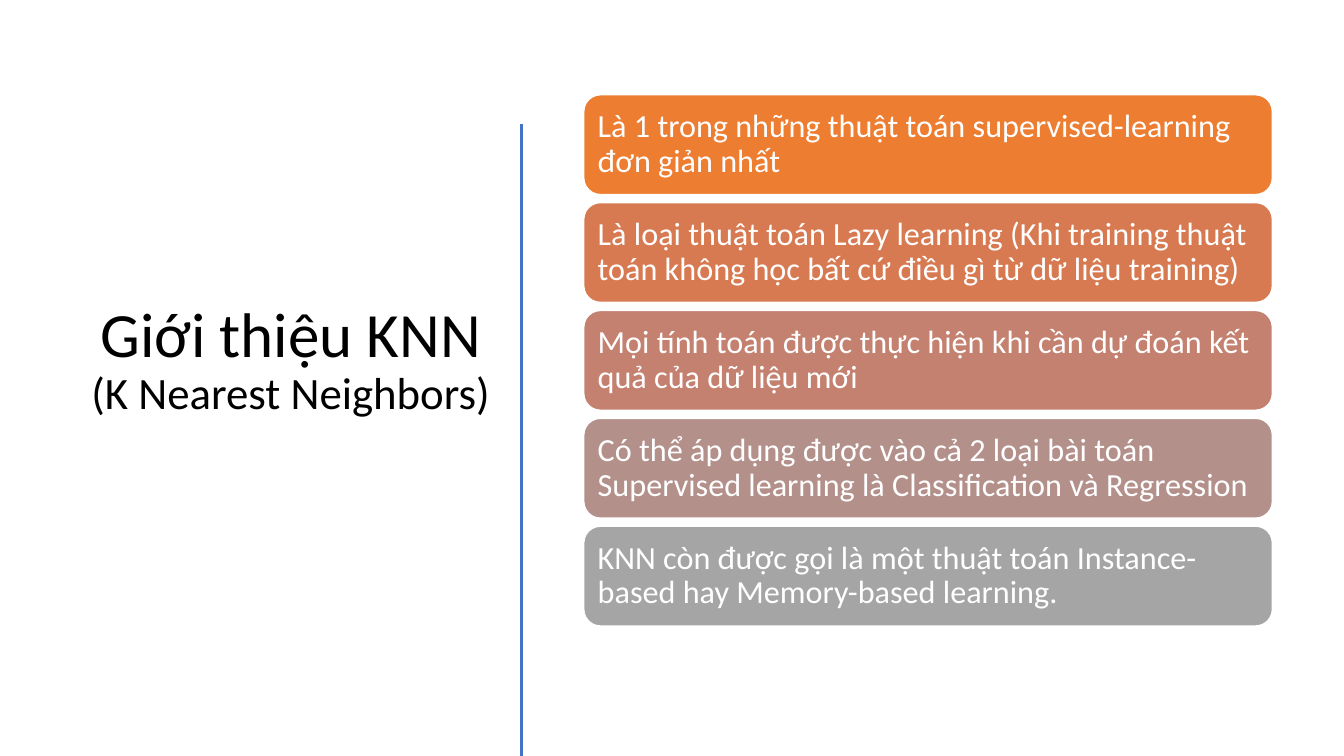
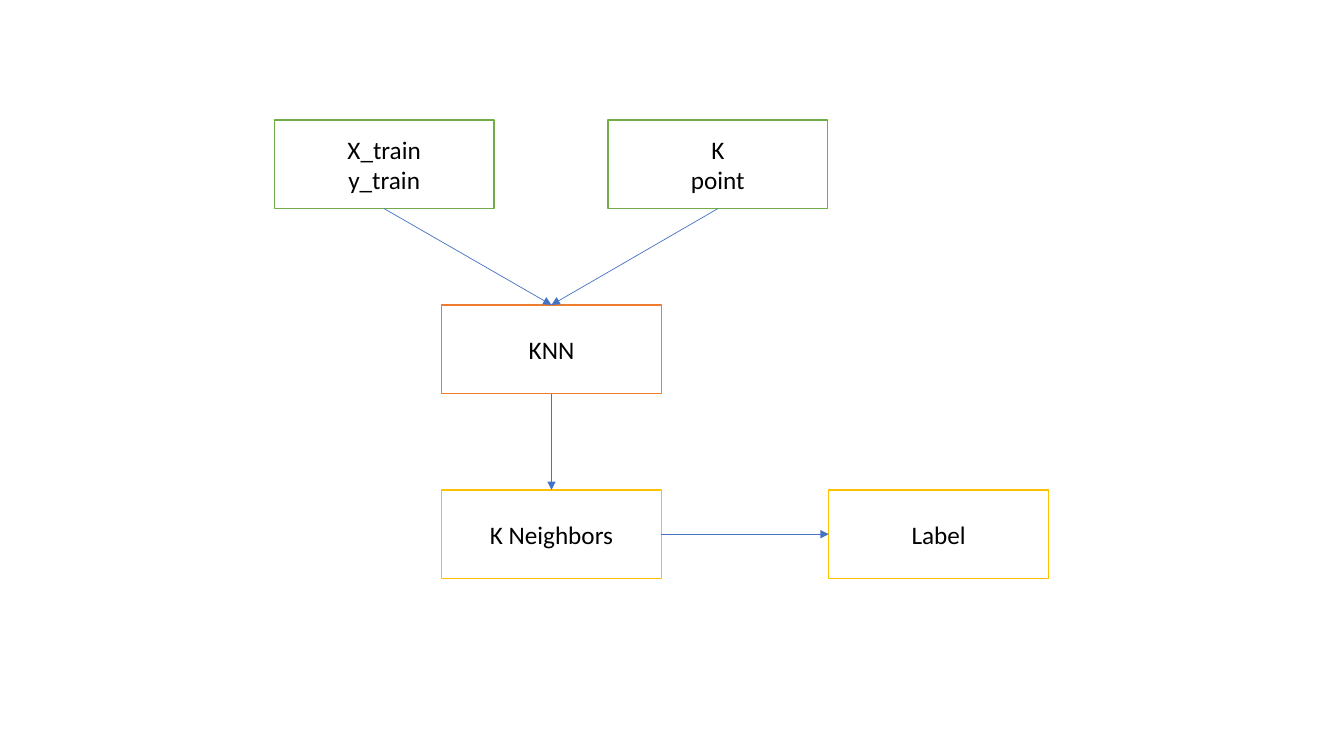
"""Build two slides that introduce the K Nearest Neighbors algorithm."""
from dataclasses import dataclass

from lxml.etree import SubElement
from pptx import Presentation
from pptx.dml.color import RGBColor
from pptx.enum.shapes import MSO_CONNECTOR as Conn, MSO_SHAPE as Shp
from pptx.enum.text import MSO_ANCHOR as Anchor, PP_ALIGN as Align
from pptx.oxml.ns import qn
from pptx.shapes.autoshape import Shape
from pptx.shapes.connector import Connector
from pptx.slide import Slide
from pptx.text.text import TextFrame, _Paragraph as Paragraph
from pptx.util import Inches, Pt

FONT = "Calibri"
BLACK = RGBColor(0x00, 0x00, 0x00)
WHITE = RGBColor(0xFF, 0xFF, 0xFF)
BLUE = RGBColor(0x44, 0x72, 0xC4)
GREEN = RGBColor(0x70, 0xAD, 0x47)
ORANGE = RGBColor(0xED, 0x7D, 0x31)
RUST = RGBColor(0xD8, 0x7A, 0x51)
ROSE = RGBColor(0xC4, 0x81, 0x70)
MAUVE = RGBColor(0xB4, 0x90, 0x8B)
GRAY = RGBColor(0xA5, 0xA5, 0xA5)
GOLD = RGBColor(0xFF, 0xC0, 0x00)

TOP, LEFT, BOTTOM, RIGHT = range(4)
CARD_X, CARD_Y, CARD_W, CARD_H, CARD_STEP = 5.79, 0.94, 6.83, 0.99, 1.07
NODE_W, NODE_H = 2.18, 0.88
ROW_Y, ROW_STEP = 1.19, 1.835


@dataclass(frozen=True)
class Card:
    text: str
    fill: RGBColor


@dataclass(frozen=True)
class Node:
    lines: tuple[str, ...]
    x: float
    row: int
    color: RGBColor


@dataclass(frozen=True)
class Arrow:
    start: str
    start_site: int
    end: str
    end_site: int


CARDS = (
    Card("Là 1 trong những thuật toán supervised-learning đơn giản nhất", ORANGE),
    Card("Là loại thuật toán Lazy learning (Khi training thuật toán không học "
         "bất cứ điều gì từ dữ liệu training)", RUST),
    Card("Mọi tính toán được thực hiện khi cần dự đoán kết quả của dữ liệu mới", ROSE),
    Card("Có thể áp dụng được vào cả 2 loại bài toán Supervised learning là "
         "Classification và Regression", MAUVE),
    Card("KNN còn được gọi là một thuật toán Instance-based hay Memory-based "
         "learning.", GRAY),
)
NODES = {
    "train": Node(("X_train", "y_train"), 2.72, 0, GREEN),
    "query": Node(("K", "point"), 6.03, 0, GREEN),
    "knn": Node(("KNN",), 4.38, 1, ORANGE),
    "neighbors": Node(("K Neighbors",), 4.38, 2, GOLD),
    "label": Node(("Label",), 8.22, 2, GOLD),
}
ARROWS = (
    Arrow("query", BOTTOM, "knn", TOP),
    Arrow("train", BOTTOM, "knn", TOP),
    Arrow("knn", BOTTOM, "neighbors", TOP),
    Arrow("neighbors", RIGHT, "label", LEFT),
)


def add_run(p: Paragraph, text: str, size: float, color: RGBColor) -> None:
    r = p.add_run()
    r.text = text
    r.font.name = FONT
    r.font.size = Pt(size)
    r.font.color.rgb = color


def prepare(tf: TextFrame) -> TextFrame:
    tf.word_wrap = True
    tf.vertical_anchor = Anchor.MIDDLE
    return tf


def add_box(s: Slide, kind: Shp, x: float, y: float, w: float, h: float,
            fill: RGBColor, line: RGBColor) -> Shape:
    sp = s.shapes.add_shape(kind, Inches(x), Inches(y), Inches(w), Inches(h))
    sp.shadow.inherit = False
    sp.fill.solid()
    sp.fill.fore_color.rgb = fill
    sp.line.color.rgb = line
    sp.line.width = Pt(1)
    prepare(sp.text_frame)
    return sp


def add_line(s: Slide, x1: float, y1: float, x2: float, y2: float,
             width: float) -> Connector:
    c = s.shapes.add_connector(Conn.STRAIGHT, Inches(x1), Inches(y1),
                               Inches(x2), Inches(y2))
    c.line.color.rgb = BLUE
    c.line.width = Pt(width)
    SubElement(c._element.spPr, qn("a:effectLst"))
    return c


def add_title(s: Slide) -> None:
    tb = s.shapes.add_textbox(Inches(0.73), Inches(0.53), Inches(4.31), Inches(6.11))
    p = prepare(tb.text_frame).paragraphs[0]
    p.alignment = Align.CENTER
    p.line_spacing = 0.9
    p.space_after = Pt(6)
    add_run(p, "Giới thiệu KNN ", 45, BLACK)
    add_run(p, "(K Nearest Neighbors)", 32, BLACK)


def add_card(s: Slide, card: Card, index: int) -> None:
    sp = add_box(s, Shp.ROUNDED_RECTANGLE, CARD_X, CARD_Y + index * CARD_STEP,
                 CARD_W, CARD_H, card.fill, WHITE)
    tf = sp.text_frame
    tf.margin_left = tf.margin_right = Inches(0.09)
    tf.margin_top = tf.margin_bottom = Inches(0.09)
    p = tf.paragraphs[0]
    p.alignment = Align.LEFT
    p.line_spacing = 0.9
    add_run(p, card.text, 23, WHITE)


def add_node(s: Slide, node: Node) -> Shape:
    sp = add_box(s, Shp.RECTANGLE, node.x, ROW_Y + node.row * ROW_STEP,
                 NODE_W, NODE_H, WHITE, node.color)
    tf = sp.text_frame
    for i, text in enumerate(node.lines):
        p = tf.add_paragraph() if i else tf.paragraphs[0]
        p.alignment = Align.CENTER
        add_run(p, text, 18, BLACK)
    return sp


def add_arrow(s: Slide, arrow: Arrow, boxes: dict[str, Shape]) -> None:
    c = add_line(s, 0, 0, 0, 0, 0.5)
    c.begin_connect(boxes[arrow.start], arrow.start_site)
    c.end_connect(boxes[arrow.end], arrow.end_site)
    SubElement(c.line._get_or_add_ln(), qn("a:tailEnd"), type="triangle")


def build_intro(s: Slide) -> None:
    add_title(s)
    add_line(s, 5.17, 1.23, 5.17, 7.5, 2)
    for i, card in enumerate(CARDS):
        add_card(s, card, i)


def build_flow(s: Slide) -> None:
    boxes = {key: add_node(s, node) for key, node in NODES.items()}
    for arrow in ARROWS:
        add_arrow(s, arrow, boxes)


def main() -> None:
    prs = Presentation()
    prs.slide_width, prs.slide_height = Inches(13.33), Inches(7.5)
    for build in (build_intro, build_flow):
        build(prs.slides.add_slide(prs.slide_layouts[6]))
    prs.save("out.pptx")


main()
